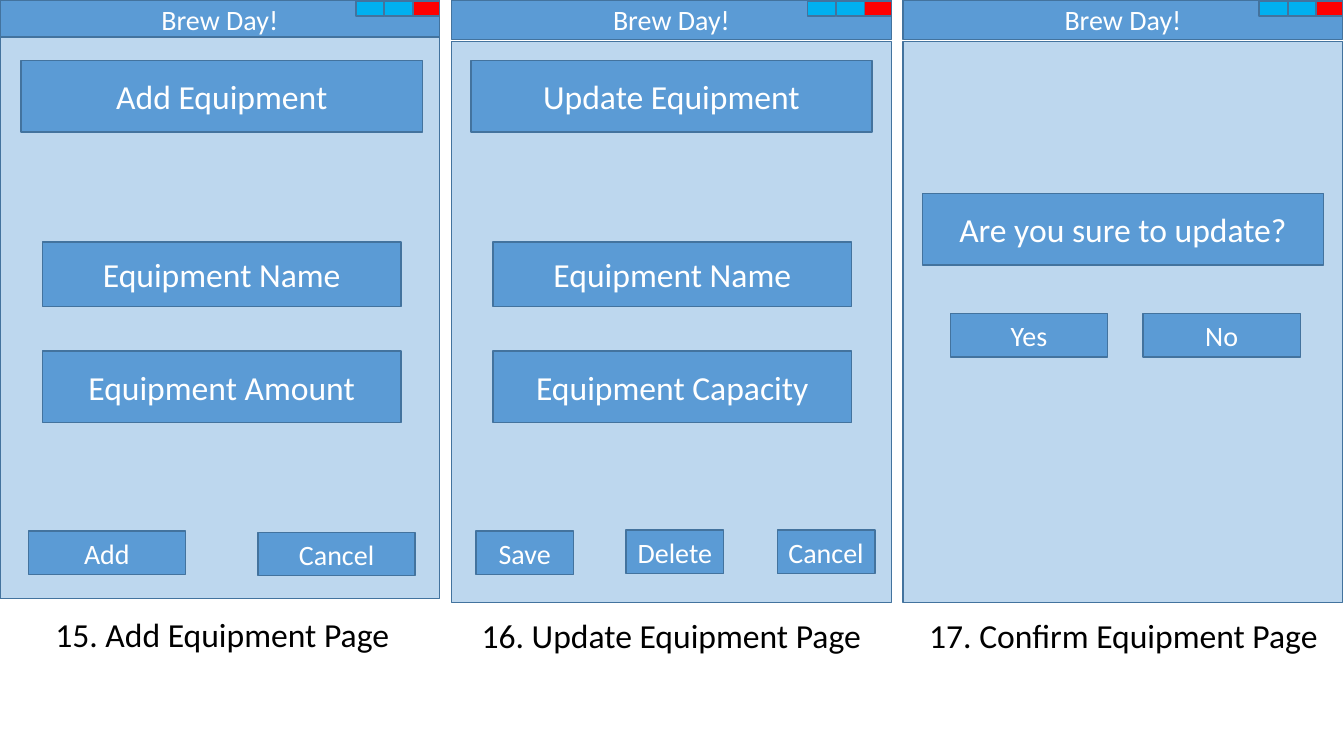
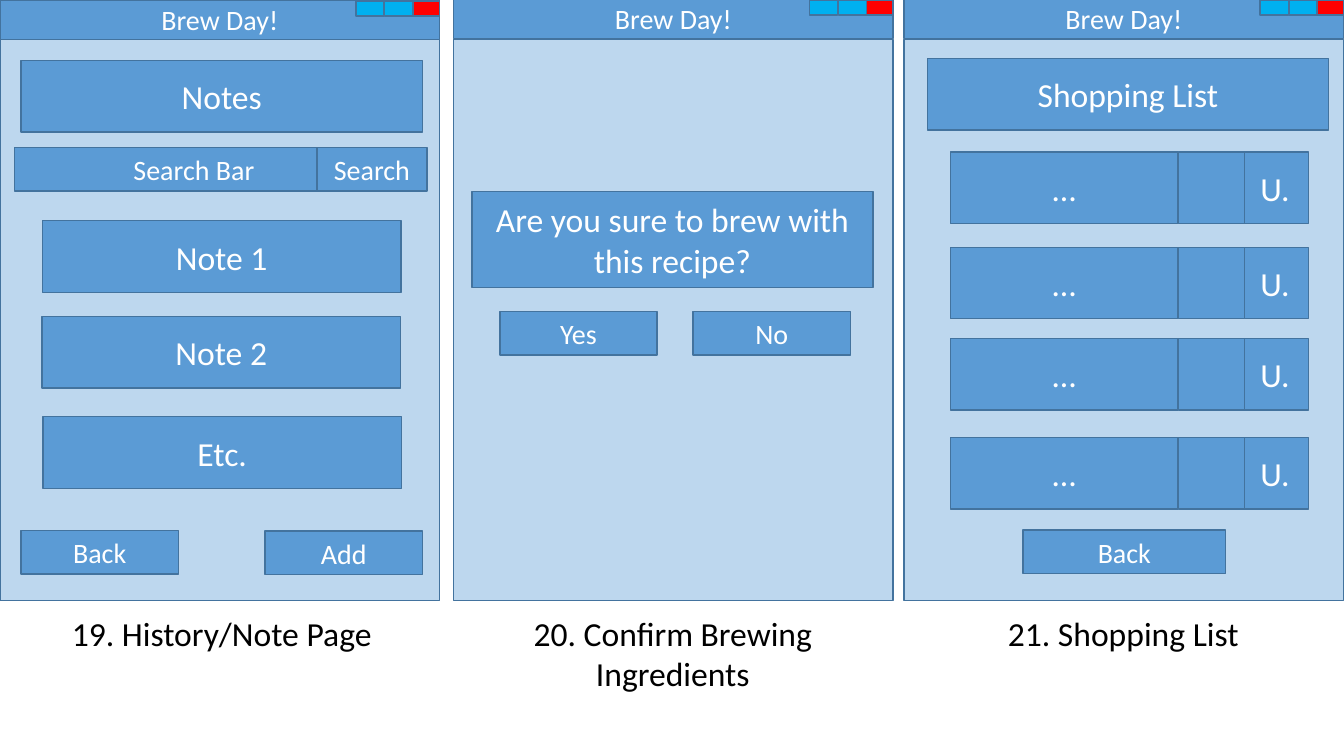
from pptx import Presentation
from pptx.dml.color import RGBColor
from pptx.enum.shapes import MSO_SHAPE
from pptx.enum.text import MSO_ANCHOR, MSO_AUTO_SIZE, PP_ALIGN
from pptx.util import Pt

BLUE = RGBColor(0x5B, 0x9B, 0xD5)
PALE = RGBColor(0xBD, 0xD7, 0xEE)
EDGE = RGBColor(0x43, 0x73, 0x9E)
CYAN = RGBColor(0x00, 0xB0, 0xF0)
RED = RGBColor(0xFF, 0x00, 0x00)
WHITE = RGBColor(0xFF, 0xFF, 0xFF)
BLACK = RGBColor(0x00, 0x00, 0x00)


class Mockup:
    """Draws app screens; x positions are relative to the current screen."""
    font = "Calibri"
    large, small = 24, 20
    screen_w, bar_h, panel_h = 314, 28.1, 401

    def __init__(self, prs):
        self.prs = prs
        self.left = 0

    def slide(self):
        self.s = self.prs.slides.add_slide(self.prs.slide_layouts[6])

    def label(self, tf, text, size, color):
        tf.word_wrap = True
        p = tf.paragraphs[0]
        p.alignment = PP_ALIGN.CENTER
        r = p.add_run()
        r.text = text
        r.font.name = self.font
        r.font.size = Pt(size)
        r.font.color.rgb = color

    def box(self, x, y, w, h, text="", size=large, fill=BLUE):
        sp = self.s.shapes.add_shape(
            MSO_SHAPE.RECTANGLE, Pt(self.left + x), Pt(y), Pt(w), Pt(h))
        sp.shadow.inherit = False
        sp.fill.solid()
        sp.fill.fore_color.rgb = fill
        sp.line.color.rgb = EDGE
        sp.line.width = Pt(1)
        if text:
            sp.text_frame.vertical_anchor = MSO_ANCHOR.MIDDLE
            self.label(sp.text_frame, text, size, WHITE)

    def screen(self, left, panel_y, bar_y=0, controls_y=0.7):
        self.left = left
        self.box(0, bar_y, self.screen_w, self.bar_h, "Brew Day!", self.small)
        self.box(0, panel_y, self.screen_w, self.panel_h, fill=PALE)
        for x, fill in ((293.8, RED), (254.2, CYAN), (274.8, CYAN)):
            self.box(x, controls_y, 20.2, 10.8, fill=fill)

    def heading(self, x, y, text, h=51.1):
        self.box(x, y, 286.6, h, text)

    def field(self, x, y, text, h=51.1):
        self.box(x, y, 256.3, h, text)

    def button(self, x, y, text, w=112.3):
        self.box(x, y, w, 31, text, self.small)

    def caption(self, x, y, w, text, h=36):
        sp = self.s.shapes.add_textbox(Pt(self.left + x), Pt(y), Pt(w), Pt(h))
        self.label(sp.text_frame, text, self.large, BLACK)
        sp.text_frame.auto_size = MSO_AUTO_SIZE.SHAPE_TO_FIT_TEXT


prs = Presentation()
prs.slide_width, prs.slide_height = Pt(960), Pt(540)
m = Mockup(prs)

# Slide 1: equipment pages
m.slide()

# Add equipment
m.screen(0, 26.6)
m.heading(15.1, 43.2, "Add Equipment")
m.field(30.2, 172.8, "Equipment Name", 46)
m.field(30.2, 250.6, "Equipment Amount")
m.button(20.2, 379.4, "Add")
m.button(184.3, 380.2, "Cancel")
m.caption(24.5, 434.9, 268.6, "15. Add Equipment Page")

# Update equipment
m.screen(322.6, 29.5)
m.heading(13.7, 43.2, "Update Equipment")
m.field(29.5, 172.8, "Equipment Name", 46)
m.field(29.5, 250.6, "Equipment Capacity")
for x, y, text in ((17.3, 379.4, "Save"), (124.6, 378.7, "Delete"),
                   (232.6, 378.7, "Cancel")):
    m.button(x, y, text, 69.8)
m.caption(11.5, 435.6, 290.9, "16. Update Equipment Page")

# Confirm update
m.screen(645.1, 29.5)
m.heading(13.7, 138.2, "Are you sure to update?")
m.button(33.8, 223.9, "Yes")
m.button(171.4, 223.9, "No")
m.caption(-4.3, 435.6, 323.3, "17. Confirm Equipment Page")

# Slide 2: notes, brewing and shopping pages
m.slide()

# Notes
m.screen(0, 28.1)
m.heading(15.1, 43.2, "Notes")
for x, y, text in ((30.2, 157.7, "Note 1"), (29.9, 226.1, "Note 2"),
                   (30.6, 297.7, "Etc.")):
    m.field(x, y, text)
m.button(15.1, 379.1, "Back")
m.button(189.4, 379.4, "Add")
m.button(10.4, 105.4, "Search Bar", 256.3)
m.button(226.4, 105.4, "Search", 78.5)
m.caption(35.3, 434.2, 246.2, "19. History/Note Page")

# Confirm brewing
m.screen(324, 28.1, -0.7, 0)
m.heading(13, 136.8, "Are you sure to brew with this recipe?", 68.4)
m.button(33.1, 222.5, "Yes")
m.button(171.1, 222.5, "No")
m.caption(22.3, 434.2, 268.6, "20. Confirm Brewing Ingredients", 65.5)

# Shopping list
m.screen(645.8, 28.1, -0.7, 0)
m.heading(16.6, 41.8, "Shopping List")
for y in (108.7, 176.6, 241.9, 312.5):
    for x, w, text in ((33.1, 162.7, "…"), (241.2, 47.5, "U."),
                       (195.8, 47.5, "")):
        m.box(x, y, w, 51.1, text)
m.button(85, 378.7, "Back", 144.7)
m.caption(22.3, 434.2, 268.6, "21. Shopping List")

prs.save("out.pptx")
